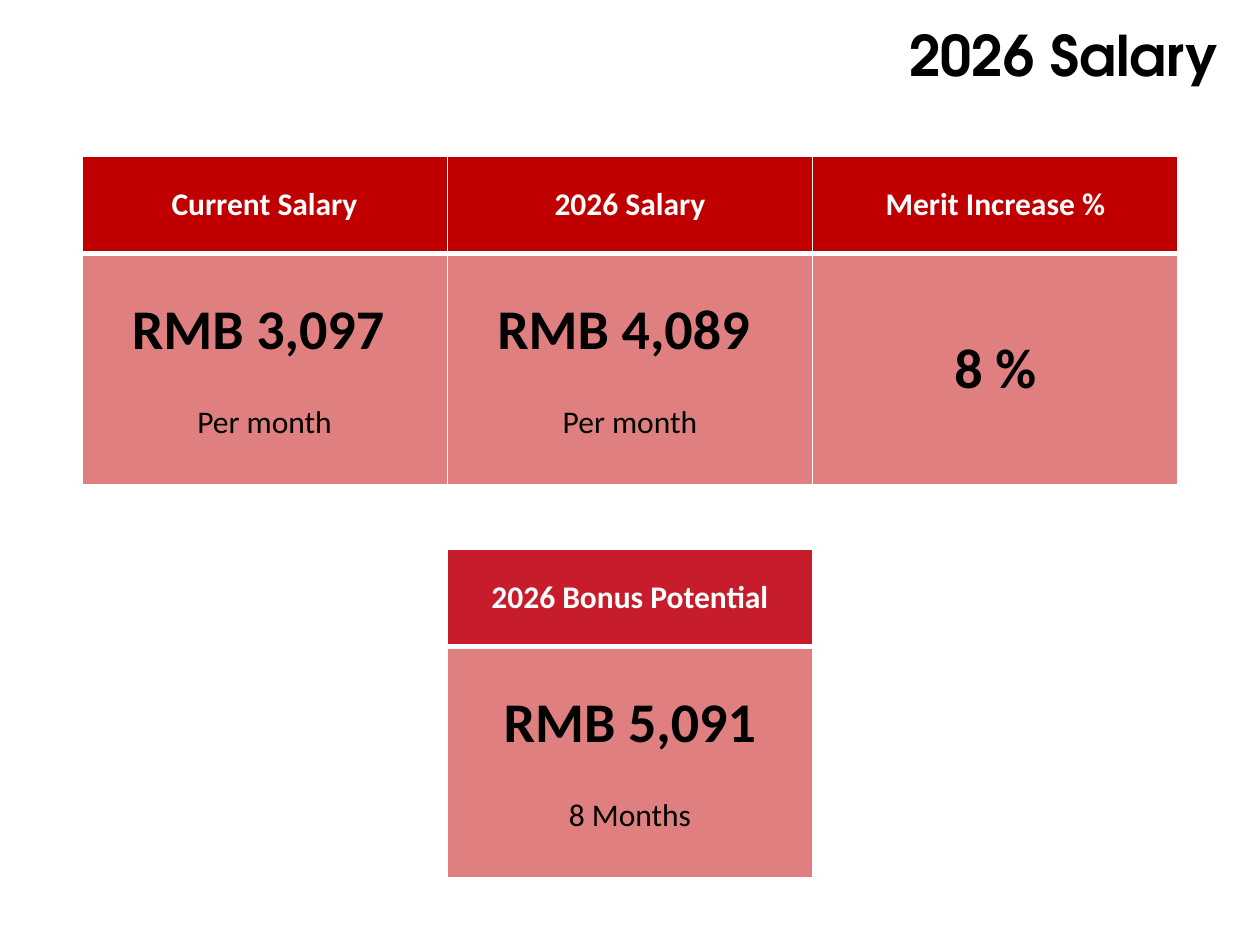
from lxml.etree import SubElement
from pptx import Presentation
from pptx.dml.color import RGBColor
from pptx.enum.text import MSO_ANCHOR, PP_ALIGN
from pptx.oxml.ns import qn
from pptx.util import Inches, Pt

WHITE = RGBColor(0xFF, 0xFF, 0xFF)
BLACK = RGBColor(0, 0, 0)
RED = RGBColor(0xC0, 0, 0)
CRIMSON = RGBColor(0xC6, 0x1C, 0x2B)
PINK = RGBColor(0xDF, 0x7F, 0x7F)

# Content: column, row, heading, amount, note, head fill, body fill, body opacity
TITLE = "2026 Salary"
CARDS = [
    (0, 0, "Current Salary", "RMB 3,097 ", "Per month", RED, RED, 50),
    (1, 1, "2026 Bonus Potential", "RMB 5,091", "8 Months", CRIMSON, PINK, 100),
    (1, 0, "2026 Salary", "RMB 4,089 ", "Per month", RED, RED, 50),
    (2, 0, "Merit Increase %", "8 %", None, RED, RED, 50),
]

# Grid
LEFT, TOP, WIDTH, STEP = 0.65, 1.24, 2.9, 3.12
HEAD, BODY = 0.77, 1.84


def style(para, font, size, color, bold):
    for run in para.runs:
        run.font.name = font
        run.font.size = Pt(size)
        run.font.color.rgb = color
        run.font.bold = bold


def paint(cell, color, alpha, top, base):
    """Give a cell its white borders (points) and its fill."""
    props = cell._tc.get_or_add_tcPr()
    for side, width in (("L", 1), ("R", 1), ("T", top), ("B", base)):
        line = SubElement(props, qn("a:ln" + side), w=str(Pt(width)))
        fill = SubElement(line, qn("a:solidFill"))
        SubElement(fill, qn("a:srgbClr"), val=str(WHITE))
    cell.fill.solid()
    cell.fill.fore_color.rgb = color
    if alpha < 100:
        tint = props.find(qn("a:solidFill")).find(qn("a:srgbClr"))
        SubElement(tint, qn("a:alpha"), val=str(alpha * 1000))


def write(cell, lines):
    """Fill a cell with centred (text, size, color, bold) lines."""
    cell.vertical_anchor = MSO_ANCHOR.MIDDLE
    cell.text_frame.text = "\n".join(line[0] for line in lines)
    for para, line in zip(cell.text_frame.paragraphs, lines):
        para.alignment = PP_ALIGN.CENTER
        style(para, "Calibri", *line[1:])


def add_card(slide, col, row, head, sum_text, note, dark, light, alpha):
    frame = slide.shapes.add_table(
        2, 1, Inches(LEFT + col * WIDTH), Inches(TOP + row * STEP),
        Inches(WIDTH), Inches(HEAD + BODY))
    table = frame.table
    table.rows[0].height = Inches(HEAD)
    table.rows[1].height = Inches(BODY)
    top, base = table.cell(0, 0), table.cell(1, 0)
    paint(top, dark, 100, 1, 3)
    paint(base, light, alpha, 3, 1)
    write(top, [(head, 18, WHITE, True)])
    lines = [(sum_text, 32, BLACK, True)]
    if note:
        lines.append((note, 18, BLACK, False))
    write(base, lines)
    if note:
        base.text_frame.paragraphs[1].space_before = Pt(22)


def main():
    deck = Presentation()
    deck.slide_width, deck.slide_height = Inches(10), Inches(7.5)
    slide = deck.slides.add_slide(deck.slide_layouts[5])

    # Title
    title = slide.shapes.title
    title.left, title.top = Inches(3.51), Inches(0.11)
    title.width, title.height = Inches(6.26), Inches(1.11)
    title.text_frame.text = TITLE
    title.text_frame.vertical_anchor = MSO_ANCHOR.TOP
    para = title.text_frame.paragraphs[0]
    para.alignment = PP_ALIGN.RIGHT
    style(para, "TeX Gyre Adventor", 32, BLACK, True)

    # Cards
    for card in CARDS:
        add_card(slide, *card)

    deck.save("out.pptx")


if __name__ == "__main__":
    main()
